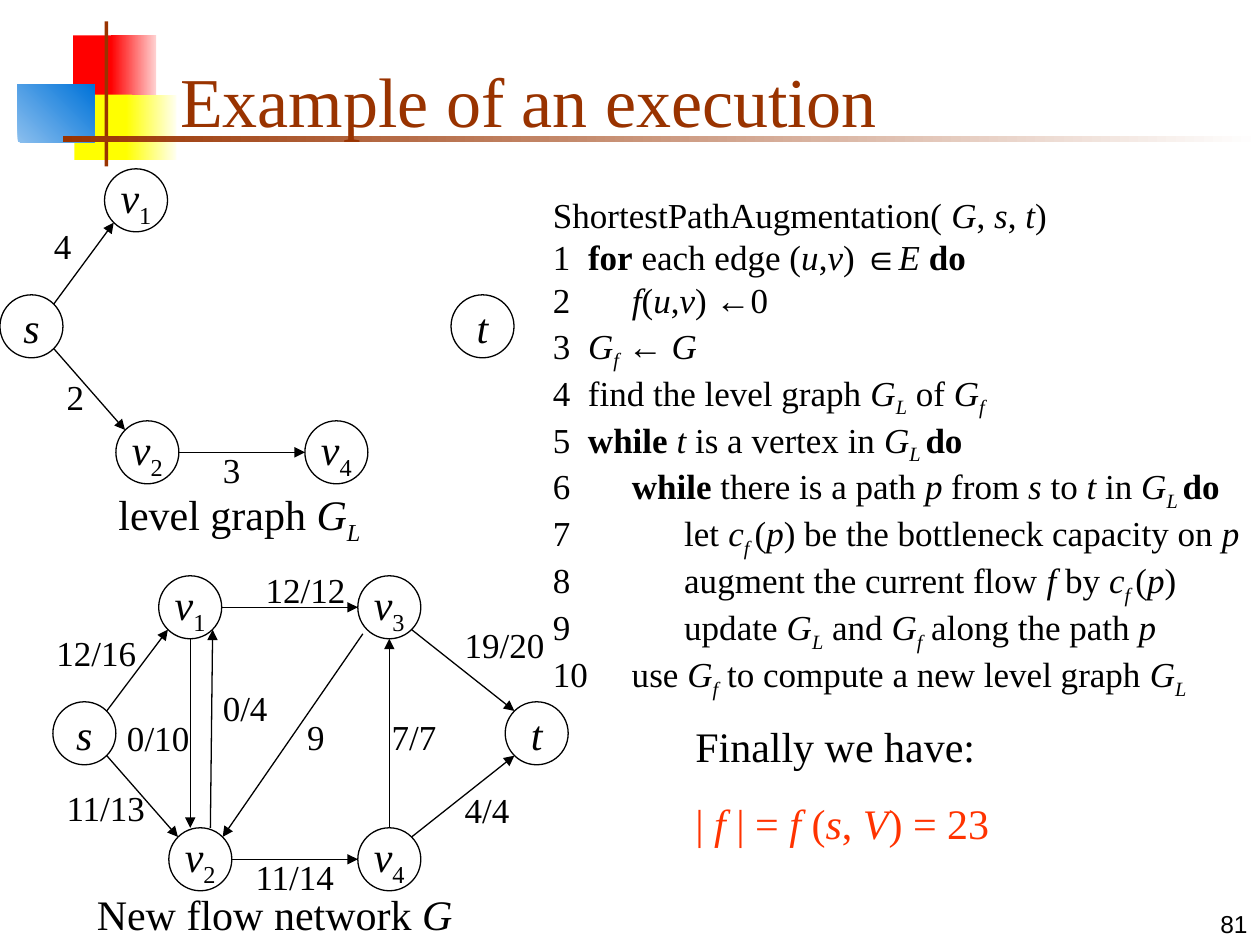
"""Build the slide showing the last step of a shortest path augmentation."""
from itertools import groupby

from lxml.etree import SubElement
from pptx import Presentation
from pptx.dml.color import RGBColor
from pptx.enum.shapes import MSO_CONNECTOR, MSO_SHAPE
from pptx.enum.text import MSO_ANCHOR, MSO_AUTO_SIZE, PP_ALIGN
from pptx.oxml.ns import qn
from pptx.util import Inches, Pt

THEME = {
    "serif": "Times New Roman", "sans": "Arial",
    "ink": "000000", "title": "993300", "accent": "FF3300",
    "title_size": 40, "body_size": 24, "code_size": 20, "number_size": 14,
    "line": 0.75,
}

DECORATION = [
    ((0.58, 0.28, 0.35, 0.52), ("FF0000",), 0),
    ((0.88, 0.28, 0.36, 0.52), ("FF0000", "FFD1D1"), 0),
    ((0.59, 0.75, 0.46, 0.52), ("FFFF00",), 0),
    ((1, 0.75, 0.4, 0.52), ("FFFF00", "FFFFF0"), 0),
    ((0.14, 0.67, 0.61, 0.46), ("8BBFEE", "0073D9"), 45),
    ((0.83, 0.17, 0.03, 1.15), ("993300",), 0),
    ((0.5, 1.08, 9.5, 0.05), ("993300", "FFFFFF"), 0),
]

TITLE = "Example of an execution"
PAGE_NUMBER = "81"

# In all texts * toggles italic, # bold and _ subscript.
ALGORITHM = [
    "ShortestPathAugmentation( *G*, *s*,* t*)",
    "1  #for# each edge (*u*,*v*) ∈*E *#do#",
    "2       *f*(*u*,*v*) ←0",
    "3  *G_f_* ← *G*",
    "4  find the level graph *G_L_* of *G_f_*",
    "5#  while #*t* is a vertex in *G_L _*#do#",
    "6       #while# there is a path *p* from *s *to *t* in *G_L _*#do#",
    "7             let *c_f _*(*p*) be the bottleneck capacity on *p*",
    "8             augment the current flow *f* by *c_f _*(*p*)",
    "9             update *G_L_* and *G_f_* along the path *p*",
    "10     use *G_f_* to compute a new level graph *G_L_*",
]
CONCLUSION = ["Finally we have:", "|* f* | =* f* (*s*, *V*) = 23"]

LEVEL_GRAPH = {
    "nodes": {"s": (0, 2.34), "v1": (0.83, 1.34), "v2": (0.92, 3.34),
              "v4": (2.42, 3.34), "t": (3.58, 2.34)},
    "edges": [("s ne", "v1 sw"), ("s se", "v2 nw"), ("v2 e", "v4 w")],
    "labels": {"4": (0.33, 1.73), "2": (0.43, 2.93), "3": (1.67, 3.51)},
    "caption": ("level graph *G_L_*", (0.84, 3.83, 2.12, 0.56)),
}
FLOW_NETWORK = {
    "nodes": {"s": (0.42, 5.57), "v1": (1.26, 4.57), "v2": (1.34, 6.57),
              "v3": (2.84, 4.57), "v4": (2.84, 6.57), "t": (4.01, 5.57)},
    "edges": [("s ne", "v1 sw"), ("v1 e", "v3 w"), ("v3 se", "t nw"),
              ("s se", "v2 nw"), ("v2 e", "v4 w"), ("v4 ne", "t sw"),
              ("v4 n", "v3 s"), ((2.88, 5.03), "v2 ne"),
              ("v1 s", (1.51, 6.57)), ((1.67, 6.57), "v1 se")],
    "labels": {"12/16": (0.35, 4.96), "12/12": (2.01, 4.46), "11/13": (0.43, 6.19),
               "0/10": (0.91, 5.64), "0/4": (1.67, 5.4), "9": (2.34, 5.63),
               "7/7": (3.01, 5.63), "19/20": (3.59, 4.9), "4/4": (3.59, 6.21),
               "11/14": (1.93, 6.74)},
    "caption": ("New flow network *G*", (0.67, 7, 3.07, 0.5)),
}

NODE = 0.5
SITES = {"n": (0, -1), "s": (0, 1), "e": (1, 0), "w": (-1, 0)} | {
    v + h: (x * 0.71, y * 0.71)
    for v, y in (("n", -1), ("s", 1)) for h, x in (("w", -1), ("e", 1))}


def styled_runs(markup):
    """Split marked-up text into (style, text) pairs."""
    active, letters = set(), []
    for letter in markup:
        if letter in "*#_":
            active ^= {letter}
        else:
            letters.append((frozenset(active), letter))
    for style, group in groupby(letters, key=lambda pair: pair[0]):
        yield style, "".join(letter for _, letter in group)


def write(frame, lines, size=THEME["body_size"], font=THEME["serif"], colors=(THEME["ink"],),
          align=PP_ALIGN.LEFT, anchor=MSO_ANCHOR.TOP, wrap=True, before=0, spacing=None, hanging=0):
    """Fill a text frame with marked-up lines."""
    frame.word_wrap, frame.vertical_anchor = wrap, anchor
    frame.auto_size = MSO_AUTO_SIZE.NONE
    for index, line in enumerate(lines):
        paragraph = frame.add_paragraph() if index else frame.paragraphs[0]
        paragraph.alignment = align
        paragraph.space_before = Pt(before if index else 0)
        if spacing:
            paragraph.line_spacing = spacing
        if hanging:
            properties = paragraph._p.get_or_add_pPr()
            properties.set("marL", str(Inches(hanging)))
            properties.set("indent", str(-Inches(hanging)))
        for style, text in styled_runs(line):
            run = paragraph.add_run()
            run.text = text
            run.font.name, run.font.size = font, Pt(size)
            run.font.color.rgb = RGBColor.from_string(colors[min(index, len(colors) - 1)])
            run.font.italic, run.font.bold = "*" in style, "#" in style
            if "_" in style:
                run._r.get_or_add_rPr().set("baseline", "-25000")


def add_text(slide, box, lines, **style):
    """Add a text box."""
    write(slide.shapes.add_textbox(*map(Inches, box)).text_frame, lines, **style)


def add_block(slide, box, colors, angle):
    """Add a borderless rectangle with a plain or gradient fill."""
    block = slide.shapes.add_shape(MSO_SHAPE.RECTANGLE, *map(Inches, box))
    block.shadow.inherit = False
    block.line.fill.background()
    if len(colors) == 1:
        block.fill.solid()
        block.fill.fore_color.rgb = RGBColor.from_string(colors[0])
        return
    block.fill.gradient()
    block.fill.gradient_angle = angle
    for stop, color in zip(block.fill.gradient_stops, colors):
        stop.color.rgb = RGBColor.from_string(color)


def add_node(slide, name, corner):
    """Add a round vertex with its name."""
    node = slide.shapes.add_shape(MSO_SHAPE.OVAL, *map(Inches, (*corner, NODE, NODE)))
    node.shadow.inherit = False
    node.fill.background()
    node.line.color.rgb = RGBColor.from_string(THEME["ink"])
    node.line.width = Pt(THEME["line"])
    subscript = f"_{name[1:]}_" if name[1:] else ""
    write(node.text_frame, [f"*{name[0]}*{subscript}"], align=PP_ALIGN.CENTER,
          anchor=MSO_ANCHOR.MIDDLE, wrap=False)


def locate(end, nodes):
    """Turn a vertex and compass site, or a plain point, into a point."""
    if isinstance(end, tuple):
        return end
    name, site = end.split()
    return [corner + NODE / 2 * (1 + shift) for corner, shift in zip(nodes[name], SITES[site])]


def add_edge(slide, start, finish):
    """Add an arrow between two points."""
    edge = slide.shapes.add_connector(MSO_CONNECTOR.STRAIGHT, *map(Inches, (*start, *finish)))
    edge.line.color.rgb = RGBColor.from_string(THEME["ink"])
    edge.line.width = Pt(THEME["line"])
    SubElement(edge.line._get_or_add_ln(), qn("a:tailEnd"), type="triangle")
    SubElement(edge._element.spPr, qn("a:effectLst"))


def add_graph(slide, graph, caption_align):
    """Add the vertices, arrows, labels and caption of a graph."""
    for name, corner in graph["nodes"].items():
        add_node(slide, name, corner)
    for ends in graph["edges"]:
        add_edge(slide, *(locate(end, graph["nodes"]) for end in ends))
    for label, corner in graph["labels"].items():
        width = 0.2 + sum(0.08 if letter == "/" else 0.14 for letter in label)
        add_text(slide, (*corner, width, 0.44), [label], size=THEME["code_size"], wrap=False)
    caption, box = graph["caption"]
    add_text(slide, box, [caption], align=caption_align)


def main():
    """Build and save the slide."""
    deck = Presentation()
    deck.slide_width, deck.slide_height = Inches(10), Inches(7.5)
    slide = deck.slides.add_slide(deck.slide_layouts[5])
    for box, colors, angle in DECORATION:
        add_block(slide, box, colors, angle)
    title = slide.shapes.title
    title.left, title.top, title.width, title.height = map(Inches, (1.33, 0.25, 8.52, 0.92))
    write(title.text_frame, [TITLE], size=THEME["title_size"], colors=(THEME["title"],),
          anchor=MSO_ANCHOR.BOTTOM)
    slide.shapes._spTree.append(title._element)
    add_graph(slide, LEVEL_GRAPH, PP_ALIGN.CENTER)
    add_graph(slide, FLOW_NETWORK, PP_ALIGN.LEFT)
    add_text(slide, (4.29, 1.55, 5.71, 3.78), ALGORITHM, size=THEME["code_size"],
             before=5, spacing=0.8, hanging=0.58)
    add_text(slide, (5.42, 5.67, 2.92, 1.11), CONCLUSION,
             colors=(THEME["ink"], THEME["accent"]), before=15)
    add_text(slide, (7.92, 7, 2.08, 0.5), [PAGE_NUMBER], size=THEME["number_size"],
             font=THEME["sans"], align=PP_ALIGN.RIGHT, anchor=MSO_ANCHOR.BOTTOM)
    deck.save("out.pptx")


if __name__ == "__main__":
    main()
